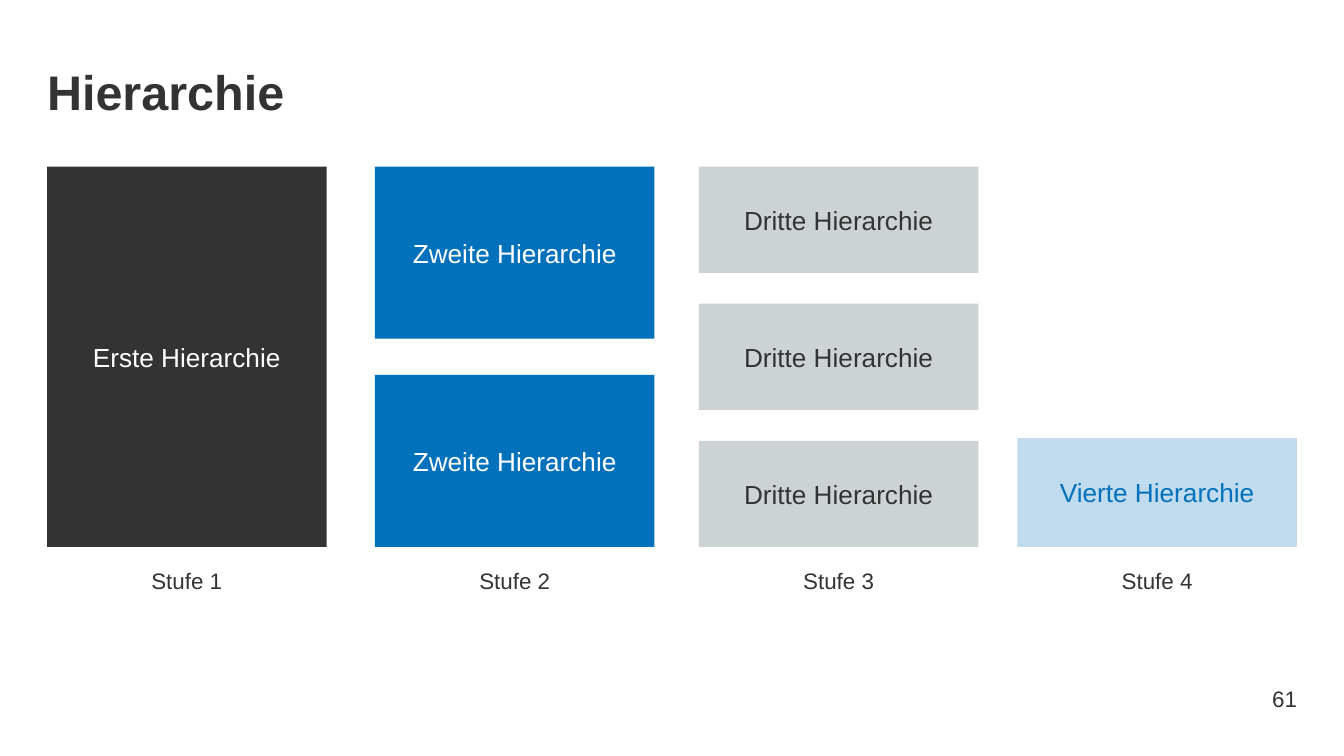
from dataclasses import dataclass

from lxml import etree
from pptx import Presentation
from pptx.dml.color import RGBColor
from pptx.enum.shapes import MSO_SHAPE
from pptx.enum.text import MSO_ANCHOR, PP_ALIGN
from pptx.oxml.ns import qn
from pptx.util import Inches, Pt

RECT = MSO_SHAPE.RECTANGLE
TOP, MIDDLE = MSO_ANCHOR.TOP, MSO_ANCHOR.MIDDLE
LEFT, CENTER, RIGHT = PP_ALIGN.LEFT, PP_ALIGN.CENTER, PP_ALIGN.RIGHT


@dataclass(frozen=True)
class Theme:
    font: str = "Arial"
    dark: str = "333333"
    blue: str = "0271BB"
    gray: str = "9DA8AD"
    sky: str = "80B8DD"
    white: str = "FFFFFF"
    title: int = 26
    body: int = 14
    small: int = 12


THEME = Theme()
WIDTH = 10
HEIGHT = WIDTH * 9 / 16
TITLE = (0.35, 0.37, 9.29, 0.63)
CHART = (0.35, 1.24, 9.3, 3.23)
NUMBER = (8.93, 5.05, 0.72, 0.3)
CELL = 2.08
LABEL = 0.3
SPACE = 0.1

LEVELS = [
    (0, "Erste Hierarchie", 1, 2.83, THEME.dark, 100, THEME.white),
    (2.44, "Zweite Hierarchie", 2, 1.28, THEME.blue, 100, THEME.white),
    (4.85, "Dritte Hierarchie", 3, 0.79, THEME.gray, 50, THEME.dark),
    (7.22, "Vierte Hierarchie", 1, 0.81, THEME.sky, 50, THEME.blue),
]


def write(shape, text, size, color, align=CENTER, anchor=MIDDLE, bold=False):
    frame = shape.text_frame
    frame.word_wrap = True
    frame.vertical_anchor = anchor
    frame.text = text
    line = frame.paragraphs[0]
    line.alignment = align
    font = line.runs[0].font
    font.name = THEME.font
    font.size = Pt(size)
    font.bold = bold
    font.color.rgb = RGBColor.from_string(color)
    return frame


def add_text(slide, box, *style, **extra):
    shape = slide.shapes.add_textbox(*map(Inches, box))
    return write(shape, *style, **extra)


def add_block(slide, box, text, fill, alpha, color):
    shape = slide.shapes.add_shape(RECT, *map(Inches, box))
    shape.shadow.inherit = False
    shape.line.fill.background()
    shape.fill.solid()
    shape.fill.fore_color.rgb = RGBColor.from_string(fill)
    if alpha < 100:
        tone = shape.fill._xPr.find(qn("a:solidFill")).find(qn("a:srgbClr"))
        etree.SubElement(tone, qn("a:alpha")).set("val", str(alpha * 1000))
    write(shape, text, THEME.body, color)


def add_title(slide, box):
    frame = add_text(slide, box, "Hierarchie", THEME.title, THEME.dark,
                     align=LEFT, anchor=TOP, bold=True)
    frame.margin_left = 0
    frame.paragraphs[0].line_spacing = 1.1


def add_number(slide, box):
    frame = add_text(slide, box, "61", THEME.small, THEME.dark, align=RIGHT)
    frame.margin_right = 0


def add_level(slide, box, step, text, count, high, *colors):
    left, top, width, height = box
    stack = height - LABEL - SPACE
    pitch = (stack - high) / (count - 1) if count > 1 else 0
    first = top + stack - high - pitch * (count - 1)
    for row in range(count):
        cell = (left, first + row * pitch, width, high)
        add_block(slide, cell, text, *colors)
    label = (left, top + height - LABEL, width, LABEL)
    add_text(slide, label, f"Stufe {step}", THEME.small, THEME.dark,
             anchor=TOP)


def add_chart(slide, box):
    left, top, _, height = box
    for step, (shift, *level) in enumerate(LEVELS, 1):
        add_level(slide, (left + shift, top, CELL, height), step, *level)


def main():
    deck = Presentation()
    deck.slide_width, deck.slide_height = Inches(WIDTH), Inches(HEIGHT)
    slide = deck.slides.add_slide(deck.slide_layouts[6])
    add_title(slide, TITLE)
    add_chart(slide, CHART)
    add_number(slide, NUMBER)
    deck.save("out.pptx")


if __name__ == "__main__":
    main()
